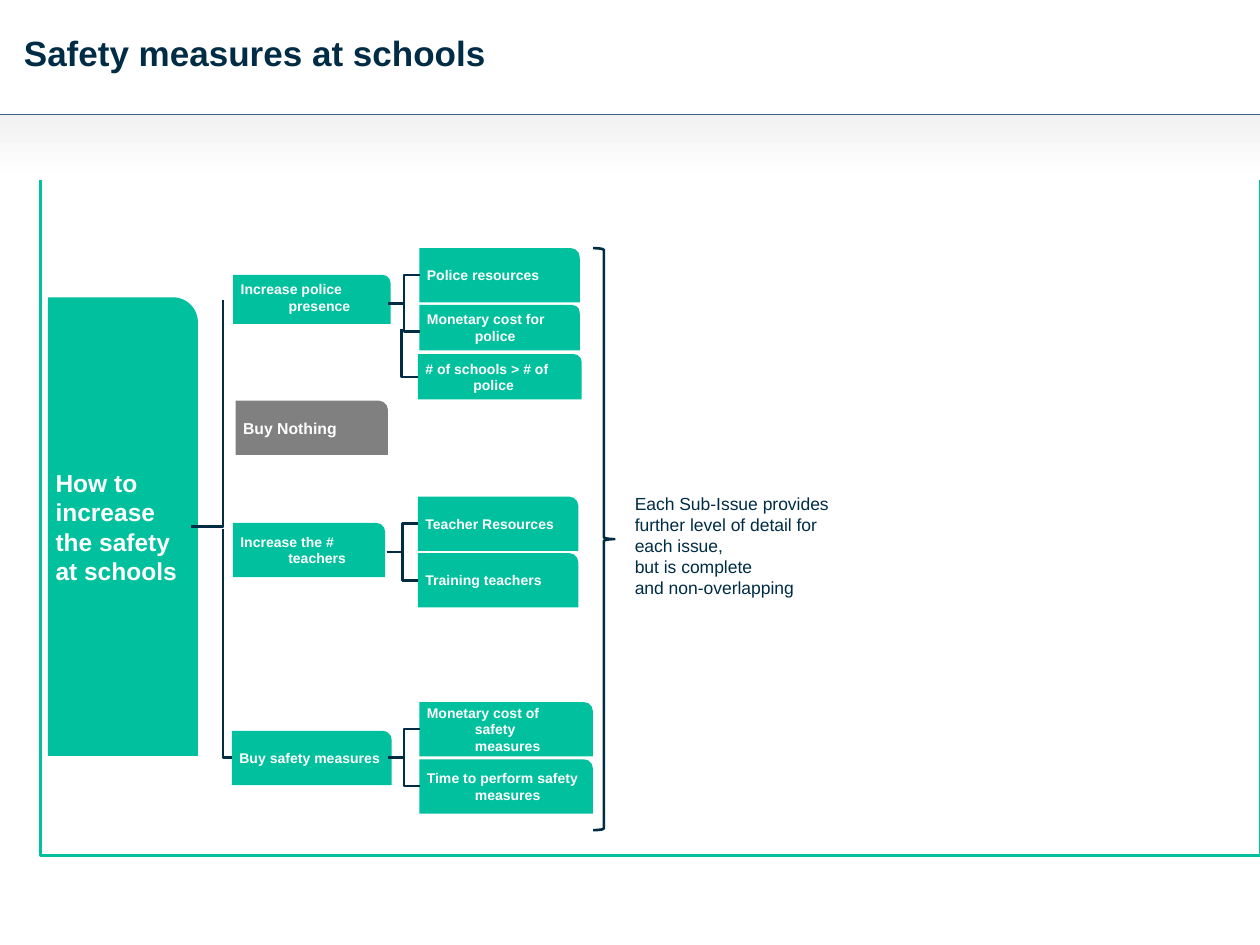
"""Build an issue tree slide on safety measures at schools."""
from typing import NamedTuple

from lxml import etree
from pptx import Presentation
from pptx.dml.color import RGBColor
from pptx.enum.shapes import MSO_CONNECTOR, MSO_SHAPE
from pptx.enum.text import MSO_ANCHOR, PP_ALIGN
from pptx.oxml.ns import qn
from pptx.util import Pt

RECT = MSO_SHAPE.RECTANGLE
ROUND = MSO_SHAPE.ROUND_1_RECTANGLE
BRACE = MSO_SHAPE.RIGHT_BRACE
LINE = MSO_CONNECTOR.STRAIGHT
ELBOW = MSO_CONNECTOR.ELBOW
TOP = MSO_ANCHOR.TOP
MID = MSO_ANCHOR.MIDDLE
LEFT = PP_ALIGN.LEFT
FULL = PP_ALIGN.JUSTIFY

GREEN = RGBColor(0x00, 0xC0, 0x9D)
GRAY = RGBColor(0x80, 0x80, 0x80)
PALE = RGBColor(0xF2, 0xF2, 0xF2)
WHITE = RGBColor(0xFF, 0xFF, 0xFF)
NAVY = RGBColor(0x00, 0x2C, 0x46)
BLUE = RGBColor(0x40, 0x60, 0x85)

FONT = "Arial"
HANG = 27.4
HALF = 16.2
SPAN = 18


class Box(NamedTuple):
    """One issue in the tree."""
    text: str
    left: float
    top: float
    width: float
    height: float = 31
    size: float = 8
    fill: RGBColor = GREEN
    hang: float = HANG
    anchor: MSO_ANCHOR = MID
    pad: float = 3.6


class Link(NamedTuple):
    """A connector that bends at a share of its width."""
    x: float
    y: float
    end_x: float
    end_y: float
    bend: float = 1


ROOT_X, ROOT_Y, TRUNK = 109.4, 301, 127.4

BOXES = [
    Box("How to increase the safety at schools", 27.4, 169.9, 85.7, 262.1,
        size=14, hang=0, pad=0),
    Box("Increase police presence", 133.2, 157, 90, 28.1, anchor=TOP),
    Box("Buy Nothing", 134.6, 229, 87.1, size=9, fill=GRAY, hang=0),
    Box("Increase the # teachers", 133, 298.8, 87.1),
    Box("Buy safety measures", 132.5, 417.6, 91.4),
    Box("Police resources", 239.6, 141.8, 91.7),
    Box("Monetary cost for police", 239.6, 174.3, 91.7, 25.9),
    Box("# of schools > # of police", 238.8, 202.4, 93.6, 25.9),
    Box("Teacher Resources", 238.8, 283.8, 91.7),
    Box("Training teachers", 238.8, 316.1, 91.7),
    Box("Monetary cost of safety measures", 239.6, 401.2, 99.2),
    Box("Time to perform safety measures", 239.6, 433.9, 99.2),
]

FORKS = [(221.8, 173.4), (221, 315.4), (221.8, 432.9)]

LINKS = [
    Link(ROOT_X, ROOT_Y, TRUNK, 171.4),
    Link(ROOT_X, ROOT_Y, TRUNK, 236.2),
    Link(132.5, 432.9, TRUNK, 302.4),
    Link(239, 215.5, 229.4, 188),
] + [Link(x, y, x + SPAN, y + step, 0.5)
     for x, y in FORKS for step in (-HALF, HALF)]


def add_run(para, text: str, size: float, color: RGBColor, bold: bool) -> None:
    """Add a styled run to a paragraph."""
    run = para.add_run()
    run.text = text
    run.font.name = FONT
    run.font.size = Pt(size)
    run.font.bold = bold
    run.font.color.rgb = color


def set_frame(frame, pads: tuple, anchor: MSO_ANCHOR) -> None:
    """Set wrapping, anchor and insets of a text frame."""
    frame.word_wrap = True
    frame.vertical_anchor = anchor
    frame.margin_left, frame.margin_top, frame.margin_right, \
        frame.margin_bottom = [Pt(pad) for pad in pads]


def add_shape(slide, kind, left: float, top: float, width: float, height: float):
    """Add a plain shape with no shadow, fill or line."""
    shape = slide.shapes.add_shape(kind, Pt(left), Pt(top), Pt(width), Pt(height))
    shape.shadow.inherit = False
    shape.fill.background()
    shape.line.fill.background()
    return shape


def set_line(shape, color: RGBColor, width: float) -> None:
    """Colour an outline and set its width."""
    shape.line.color.rgb = color
    shape.line.width = Pt(width)


def add_box(slide, box: Box) -> None:
    """Draw one issue box."""
    shape = add_shape(slide, ROUND, box.left, box.top, box.width, box.height)
    shape.fill.solid()
    shape.fill.fore_color.rgb = box.fill
    set_frame(shape.text_frame, (4.3, box.pad, box.pad, box.pad), box.anchor)
    para = shape.text_frame.paragraphs[0]
    para.alignment = LEFT
    if box.hang:
        props = para._p.get_or_add_pPr()
        props.set("marL", str(Pt(box.hang)))
        props.set("indent", str(-Pt(box.hang)))
    add_run(para, box.text, box.size, WHITE, True)


def add_line(slide, kind, link: Link, color: RGBColor, width: float):
    """Draw a connector with no shadow."""
    line = slide.shapes.add_connector(
        kind, Pt(link.x), Pt(link.y), Pt(link.end_x), Pt(link.end_y))
    set_line(line, color, width)
    etree.SubElement(line._element.spPr, qn("a:effectLst"))
    return line


def add_link(slide, link: Link) -> None:
    """Draw an elbow between two issues."""
    line = add_line(slide, ELBOW, link, NAVY, 1.5)
    geom = line._element.spPr.find(qn("a:prstGeom"))
    guides = geom.find(qn("a:avLst"))
    if guides is None:
        guides = etree.SubElement(geom, qn("a:avLst"))
    etree.SubElement(guides, qn("a:gd"), name="adj1",
                     fmla=f"val {round(link.bend * 100000)}")


def add_head(slide) -> None:
    """Draw the title and the band below it."""
    title = slide.shapes.add_textbox(Pt(13.7), Pt(18), Pt(679), Pt(24.5))
    set_frame(title.text_frame, (0, 0, 0, 0), TOP)
    add_run(title.text_frame.paragraphs[0], "Safety measures at schools",
            20, NAVY, True)
    band = add_shape(slide, RECT, 0, 65.5, 720, 37.4)
    band.fill.gradient()
    band.fill.gradient_angle = 270
    for stop, color in zip(band.fill.gradient_stops, (PALE, WHITE)):
        stop.color.rgb = color
    add_line(slide, LINE, Link(0, 65.5, 720, 65.5), BLUE, 0.75)


def add_note(slide) -> None:
    """Draw the brace and the remark beside it."""
    brace = add_shape(slide, BRACE, 339, 141.8, 12.2, 332.6)
    set_line(brace, NAVY, 1.5)
    note = slide.shapes.add_textbox(Pt(355.7), Pt(277.9), Pt(133.9), Pt(67.7))
    frame = note.text_frame
    set_frame(frame, (7.2, 3.6, 7.2, 3.6), TOP)
    first = frame.paragraphs[0]
    add_run(first, "Each Sub-Issue provides further level of detail for each issue,",
            10, NAVY, False)
    first.add_line_break()
    add_run(first, "but is complete", 10, NAVY, False)
    last = frame.add_paragraph()
    last.alignment = FULL
    add_run(last, "and non-overlapping", 10, NAVY, False)


def main() -> None:
    """Build and save the slide."""
    deck = Presentation()
    deck.slide_width, deck.slide_height = Pt(720), Pt(540)
    slide = deck.slides.add_slide(deck.slide_layouts[6])
    panel = add_shape(slide, RECT, 23, 100.1, 697, 388.8)
    panel.fill.solid()
    panel.fill.fore_color.rgb = WHITE
    set_line(panel, GREEN, 1.5)
    for box in BOXES:
        add_box(slide, box)
    for link in LINKS:
        add_link(slide, link)
    add_line(slide, LINE, Link(ROOT_X, ROOT_Y, TRUNK, ROOT_Y), NAVY, 1.5)
    add_head(slide)
    add_note(slide)
    deck.save("out.pptx")


if __name__ == "__main__":
    main()
